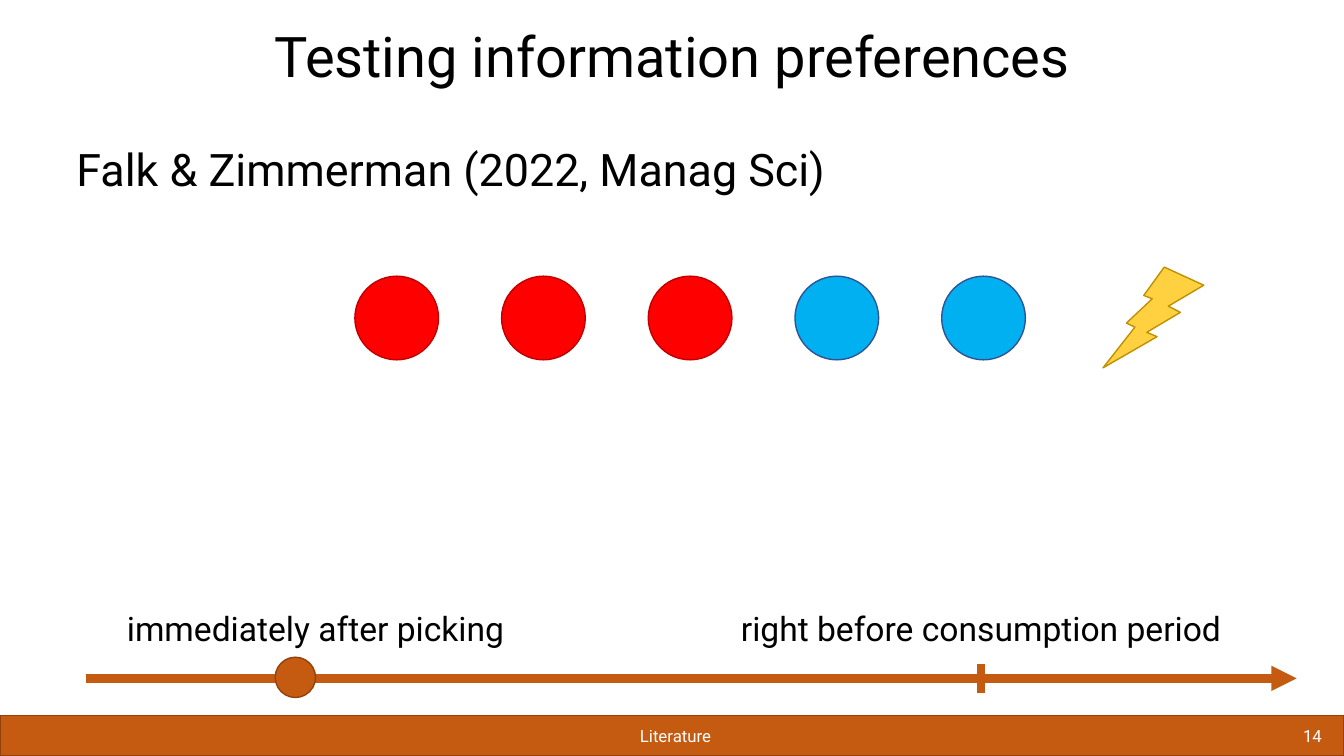
"""Build the slide on testing information preferences."""
from lxml import etree
from pptx import Presentation
from pptx.dml.color import RGBColor
from pptx.enum.shapes import MSO_CONNECTOR, MSO_SHAPE
from pptx.enum.text import MSO_ANCHOR, PP_ALIGN
from pptx.oxml.ns import qn
from pptx.util import Inches, Pt

RECTANGLE, OVAL, BOLT = MSO_SHAPE.RECTANGLE, MSO_SHAPE.OVAL, MSO_SHAPE.LIGHTNING_BOLT
STRAIGHT = MSO_CONNECTOR.STRAIGHT
LEFT, CENTER, RIGHT = PP_ALIGN.LEFT, PP_ALIGN.CENTER, PP_ALIGN.RIGHT
TOP, MIDDLE, BOTTOM = MSO_ANCHOR.TOP, MSO_ANCHOR.MIDDLE, MSO_ANCHOR.BOTTOM
ORANGE, DARK_ORANGE = "C55A11", "92430D"
BLACK, WHITE = "000000", "FFFFFF"


def color(hex_string):
    return RGBColor.from_string(hex_string)


def add_filled_shape(kind, left, top, width, height, fill, line):
    shape = slide.shapes.add_shape(
        kind, Inches(left), Inches(top), Inches(width), Inches(height))
    shape.shadow.inherit = False
    shape.fill.solid()
    shape.fill.fore_color.rgb = color(fill)
    shape.line.color.rgb = color(line)
    shape.line.width = Pt(1)
    return shape


presentation = Presentation()
presentation.slide_width = Inches(13.33)
presentation.slide_height = Inches(7.5)
slide = presentation.slides.add_slide(presentation.slide_layouts[6])

add_filled_shape(RECTANGLE, 0, 7.1, 13.33, 0.4, ORANGE, DARK_ORANGE)

texts = [
    ("Testing information preferences", 0.66, 0.23, 12.01, 0.71, 40, BLACK, CENTER, BOTTOM, 0.9),
    ("Falk & Zimmerman (2022, Manag Sci)", 0.66, 1.42, 12.01, 5.58, 32, BLACK, LEFT, TOP, 0.9),
    ("Literature", 2.24, 7.1, 8.92, 0.4, 12, WHITE, CENTER, MIDDLE, 1.0),
    ("14", 11.15, 7.1, 2.06, 0.4, 12, WHITE, RIGHT, MIDDLE, 1.0),
    ("immediately after picking", 1.05, 5.98, 4.16, 0.5, 24, BLACK, CENTER, TOP, 1.0),
    ("right before consumption period", 7, 5.98, 5.46, 0.5, 24, BLACK, CENTER, TOP, 1.0),
]
for text, left, top, width, height, size, ink, alignment, anchor, spacing in texts:
    box = slide.shapes.add_textbox(Inches(left), Inches(top), Inches(width), Inches(height))
    frame = box.text_frame
    frame.word_wrap = True
    frame.vertical_anchor = anchor
    paragraph = frame.paragraphs[0]
    paragraph.text = text
    paragraph.alignment = alignment
    paragraph.line_spacing = spacing
    paragraph.font.name = "Roboto"
    paragraph.font.size = Pt(size)
    paragraph.font.color.rgb = color(ink)

balls = [("FF0000", "C00000")] * 3 + [("00B0F0", "2F5496")] * 2
for index, (fill, line) in enumerate(balls):
    add_filled_shape(OVAL, 3.52 + index * 1.455, 2.74, 0.83, 0.83, fill, line)

bolt = add_filled_shape(BOLT, 10.94, 2.65, 1, 1, "FFD040", "BF9000")
bolt.element.spPr.find(qn("a:xfrm")).set("flipH", "1")

timeline = [(0.85, 6.73, 12.86, 6.73), (2.95, 6.88, 2.95, 6.59), (9.73, 6.88, 9.73, 6.59)]
for index, ends in enumerate(timeline):
    connector = slide.shapes.add_connector(STRAIGHT, *[Inches(value) for value in ends])
    connector.line.color.rgb = color(ORANGE)
    connector.line.width = Pt(6)
    properties = connector.element.spPr
    if index == 0:
        etree.SubElement(properties.find(qn("a:ln")), qn("a:tailEnd"), type="triangle")
    etree.SubElement(properties, qn("a:effectLst"))

add_filled_shape(OVAL, 2.73, 6.52, 0.4, 0.4, ORANGE, DARK_ORANGE)

presentation.save("out.pptx")
